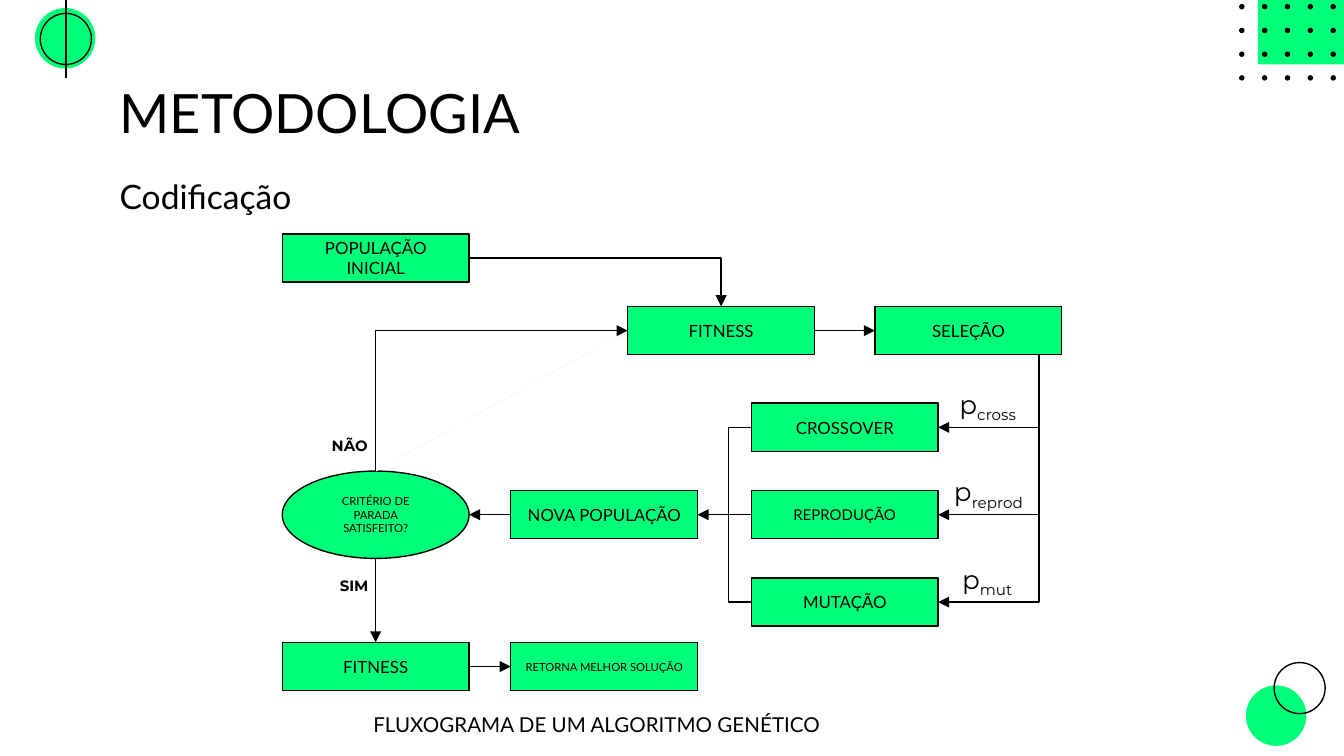
from dataclasses import dataclass

from lxml import etree
from pptx import Presentation
from pptx.dml.color import RGBColor
from pptx.enum.shapes import MSO_CONNECTOR, MSO_SHAPE
from pptx.enum.text import MSO_ANCHOR, MSO_AUTO_SIZE, PP_ALIGN
from pptx.oxml.ns import qn
from pptx.util import Inches, Pt

RECT, OVAL = MSO_SHAPE.RECTANGLE, MSO_SHAPE.OVAL
STRAIGHT = MSO_CONNECTOR.STRAIGHT
LEFT, CENTER = PP_ALIGN.LEFT, PP_ALIGN.CENTER
TOP, MIDDLE = MSO_ANCHOR.TOP, MSO_ANCHOR.MIDDLE


@dataclass(frozen=True)
class Theme:
    green: str = "00FF79"
    ink: str = "000000"
    faint: str = "F9F9F9"
    font: str = "Lato"
    accent: str = "Montserrat"
    title: float = 29
    body: float = 18
    symbol: float = 14
    caption: float = 11
    node: float = 9
    small: float = 8
    tiny: float = 6
    line: float = 0.75


THEME = Theme()

# Grid of the flowchart: left edges of columns, middles of rows
COLS = {"a": 2.1, "b": 3.8, "c": 4.67, "d": 5.59, "e": 6.51}
ROWS = {"start": 1.92, "rank": 2.46, "cross": 3.18, "copy": 3.83,
        "mut": 4.48, "end": 4.96}
WIDE, HIGH, ROUND = 1.39, 0.36, 0.65
BUS, FORK = 7.73, 5.42

# Column, row, label, type size
NODES = [
    ("a", "start", "POPULAÇÃO INICIAL", THEME.node),
    ("c", "rank", "FITNESS", THEME.node),
    ("e", "rank", "SELEÇÃO", THEME.node),
    ("d", "cross", "CROSSOVER", THEME.node),
    ("d", "copy", "REPRODUÇÃO", THEME.small),
    ("d", "mut", "MUTAÇÃO", THEME.node),
    ("b", "copy", "NOVA POPULAÇÃO", THEME.node),
    ("b", "end", "RETORNA MELHOR SOLUÇÃO", THEME.tiny),
    ("a", "end", "FITNESS", THEME.node),
]


def rgb(code):
    return RGBColor.from_string(code)


def write(frame, *parts, size, font=THEME.font, bold=False, align=LEFT,
          anchor=TOP, inset=0.1):
    """Fill a frame with one paragraph; parts after the first are subscripts."""
    frame.word_wrap = True
    frame.auto_size = MSO_AUTO_SIZE.NONE
    frame.vertical_anchor = anchor
    frame.margin_left = frame.margin_right = Inches(0.1)
    frame.margin_top = frame.margin_bottom = Inches(inset)
    para = frame.paragraphs[0]
    para.alignment = align
    para.space_before = Pt(0)
    for i, part in enumerate(parts):
        run = para.add_run()
        run.text = part
        run.font.name, run.font.size, run.font.bold = font, Pt(size), bold
        run.font.color.rgb = rgb(THEME.ink)
        if i:
            run.font._element.set("baseline", "-25000")


def paint(shape, fill=None, line=None):
    shape.shadow.inherit = False
    if fill:
        shape.fill.solid()
        shape.fill.fore_color.rgb = rgb(fill)
    else:
        shape.fill.background()
    if line:
        shape.line.color.rgb = rgb(line)
        shape.line.width = Pt(THEME.line)
    else:
        shape.line.fill.background()


def block(slide, kind, x, y, w, h, fill=None, line=None):
    shape = slide.shapes.add_shape(kind, *map(Inches, (x, y, w, h)))
    paint(shape, fill, line)
    return shape


def node(slide, kind, col, row, label, size, high=HIGH):
    shape = block(slide, kind, COLS[col], ROWS[row] - high / 2, WIDE, high,
                  THEME.green, THEME.ink)
    write(shape.text_frame, label, size=size, align=CENTER, anchor=MIDDLE)


def label(slide, x, y, w, h, *parts, **look):
    box = slide.shapes.add_textbox(*map(Inches, (x, y, w, h)))
    write(box.text_frame, *parts, inset=0.05, **look)


def link(slide, x1, y1, x2, y2, color=THEME.ink, head=True):
    wire = slide.shapes.add_connector(STRAIGHT, *map(Inches, (x1, y1, x2, y2)))
    wire.line.color.rgb = rgb(color)
    wire.line.width = Pt(THEME.line)
    props = wire._element.spPr
    if head:
        etree.SubElement(props.find(qn("a:ln")), qn("a:tailEnd"), type="triangle")
    etree.SubElement(props, qn("a:effectLst"))
    return wire


def elbow(slide, x1, y1, x2, y2, turn=0):
    """One-bend arrow; a turn of 90 or 270 degrees leaves vertically."""
    w, h = abs(x2 - x1), abs(y2 - y1)
    if turn:
        w, h = h, w
    x, y = (x1 + x2 - w) / 2, (y1 + y2 - h) / 2
    props = link(slide, x, y, x + w, y + h)._element.spPr
    props.find(qn("a:prstGeom")).set("prst", "bentConnector2")
    props.find(qn("a:xfrm")).set("rot", str(turn * 60000))


def fork(slide):
    edge, top, foot = COLS["d"], ROWS["cross"], ROWS["mut"]
    pen = slide.shapes.build_freeform(Inches(edge), Inches(top))
    points = [(FORK, top), (FORK, foot), (edge, foot)]
    pen.add_line_segments([(Inches(x), Inches(y)) for x, y in points], close=False)
    paint(pen.convert_to_shape(), line=THEME.ink)


def decor(slide):
    # Corner discs and square
    for x, y in [(0.26, 0.06), (9.27, 5.1)]:
        block(slide, OVAL, x, y, 0.45, 0.45, THEME.green)
    block(slide, RECT, 9.36, 0, 0.64, 0.48, THEME.green)
    # Dot grid
    for row in range(4):
        for col in range(5):
            block(slide, OVAL, 9.22 + 0.17 * col, 0.03 + 0.53 * row / 3,
                  0.04, 0.04, THEME.ink)
    # Rings and hairline
    for x, y in [(0.3, 0.1), (9.48, 4.93)]:
        block(slide, OVAL, x, y, 0.38, 0.38, line=THEME.ink)
    link(slide, 0.49, 0, 0.49, 0.58, head=False)


def heads(slide):
    title, body = slide.placeholders
    for item, top, high, text, size in [
            (title, 0.49, 0.71, "METODOLOGIA", THEME.title),
            (body, 1.21, 3.79, "Codificação", THEME.body)]:
        item.left, item.top = Inches(0.79), Inches(top)
        item.width, item.height = Inches(8.42), Inches(high)
        props = item.text_frame.paragraphs[0]._p.get_or_add_pPr()
        props.set("marL", "0")
        props.set("indent", "0")
        etree.SubElement(props, qn("a:buNone"))
        write(item.text_frame, text, size=size)


def flow(slide):
    for col, row, text, size in NODES:
        node(slide, RECT, col, row, text, size)
    node(slide, OVAL, "a", "copy", "CRITÉRIO DE PARADA SATISFEITO?",
         THEME.tiny, high=ROUND)

    # Straight arrows
    mid = COLS["a"] + WIDE / 2
    right = {col: x + WIDE for col, x in COLS.items()}
    copy, rank, end = ROWS["copy"], ROWS["rank"], ROWS["end"]
    peak = copy - ROUND / 2
    for points in [
            (right["c"], rank, COLS["e"], rank),
            (BUS, ROWS["cross"], right["d"], ROWS["cross"]),
            (BUS, copy, right["d"], copy),
            (COLS["d"], copy, right["b"], copy),
            (COLS["b"], copy, right["a"], copy),
            (mid, copy + ROUND / 2, mid, end - HIGH / 2),
            (right["a"], end, COLS["b"], end)]:
        link(slide, *points)
    link(slide, mid, peak, COLS["c"], rank, color=THEME.faint)

    # Bent arrows and bracket
    elbow(slide, right["a"], ROWS["start"], COLS["c"] + WIDE / 2, rank - HIGH / 2)
    elbow(slide, BUS, rank + HIGH / 2, right["d"], ROWS["mut"], turn=90)
    elbow(slide, mid, peak, COLS["c"], rank, turn=270)
    fork(slide)

    # Probabilities and answers
    for row, x, w, sub in [("cross", 7.04, 0.69, "cross"),
                           ("copy", 7, 0.8, "reprod"), ("mut", 7.06, 0.64, "mut")]:
        label(slide, x, ROWS[row] - 0.34, w, 0.36, "p", sub,
              size=THEME.symbol, font=THEME.accent)
    for x, y, w, text in [(2.37, 3.2, 0.5, "NÃO"), (2.43, 4.24, 0.44, "SIM")]:
        label(slide, x, y, w, 0.23, text, size=THEME.small,
              font=THEME.accent, bold=True)


def main():
    deck = Presentation()
    deck.slide_width = Inches(10)
    deck.slide_height = deck.slide_width * 9 // 16
    slide = deck.slides.add_slide(deck.slide_layouts[1])
    decor(slide)
    heads(slide)
    flow(slide)
    label(slide, 2.68, 5.25, 4.63, 0.28, "FLUXOGRAMA DE UM ALGORITMO GENÉTICO",
          size=THEME.caption)
    deck.save("out.pptx")


if __name__ == "__main__":
    main()
